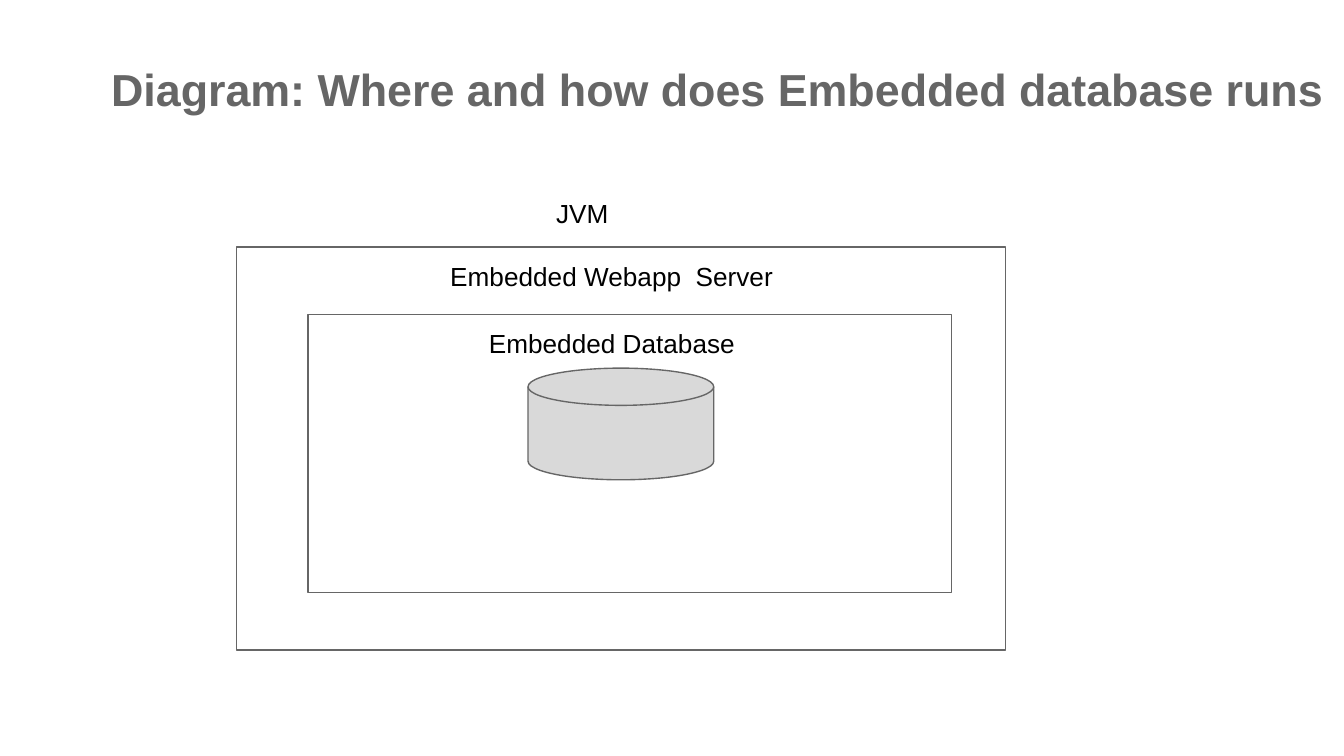
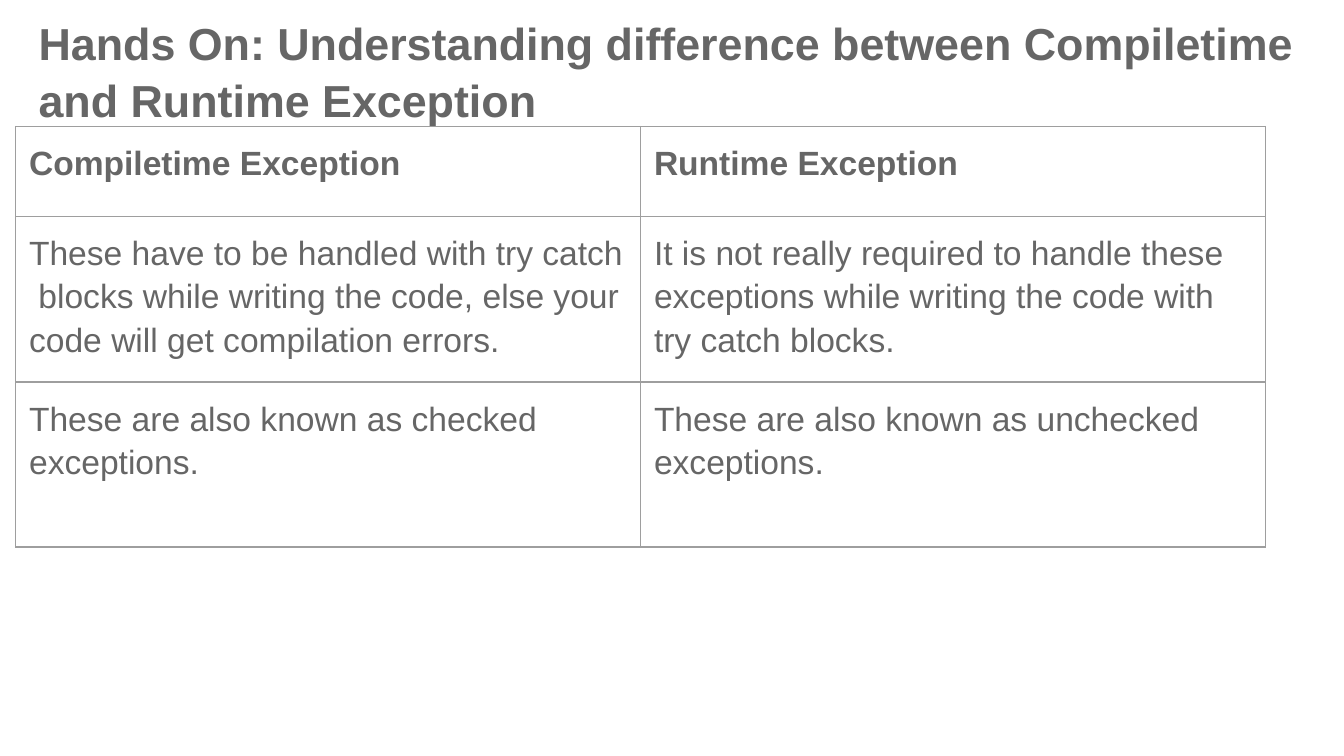
from lxml import etree
from pptx import Presentation
from pptx.dml.color import RGBColor
from pptx.enum.shapes import MSO_SHAPE as Preset
from pptx.oxml.ns import qn
from pptx.util import Cm, Pt

COLORS = {"grey": "666666", "black": "000000", "white": "FFFFFF", "disk": "D9D9D9", "border": "9E9E9E"}
FONT = "Arial"
INSET = Cm(0.25)
LINE_WIDTH = Pt(0.75)


def add_run(paragraph, text, size, color, bold=False):
    run = paragraph.add_run()
    run.text = text
    run.font.name = FONT
    run.font.size = Pt(size)
    run.font.bold = bold
    run.font.color.rgb = RGBColor.from_string(COLORS[color])


def add_text(slide, box, text, size, color, bold=False):
    frame = slide.shapes.add_textbox(*map(Cm, box)).text_frame
    frame.word_wrap = True
    frame.margin_left = frame.margin_right = frame.margin_top = frame.margin_bottom = INSET
    paragraph = frame.paragraphs[0]
    add_run(paragraph, text, size, color, bold)
    return paragraph


presentation = Presentation()
presentation.slide_width = Cm(25.4)
presentation.slide_height = Cm(14.29)
blank = presentation.slide_layouts[6]

titles = [
    ("Diagram: Where and how does Embedded database runs", (-1.96, 0.71, 28.22, 2.44)),
    ("Hands On: Understanding difference between Compiletime and Runtime Exception", (0.48, 0, 24.56, 2.39)),
]
slides = []
title_paragraphs = []
for text, box in titles:
    slide = presentation.slides.add_slide(blank)
    paragraph = add_text(slide, box, text, 24, "grey", True)
    paragraph.line_spacing = 1.05
    slides.append(slide)
    title_paragraphs.append(paragraph)
diagram_slide, exception_slide = slides

diagram_title = title_paragraphs[0]
add_run(diagram_title, " ", 28, "grey", True)
title_properties = diagram_title._p.get_or_add_pPr()
title_properties.set("marL", str(Cm(2.54)))
title_properties.set("indent", str(Cm(1.27)))

layers = [
    (Preset.RECTANGLE, (4.47, 4.67, 14.53, 7.62), "white"),
    (Preset.RECTANGLE, (5.82, 5.94, 12.17, 5.26), "white"),
    (Preset.FLOWCHART_MAGNETIC_DISK, (9.98, 6.96, 3.51, 2.11), "disk"),
]
for preset, box, fill in layers:
    shape = diagram_slide.shapes.add_shape(preset, *map(Cm, box))
    shape.shadow.inherit = False
    shape.fill.solid()
    shape.fill.fore_color.rgb = RGBColor.from_string(COLORS[fill])
    shape.line.color.rgb = RGBColor.from_string(COLORS["grey"])
    shape.line.width = LINE_WIDTH

labels = [
    ("JVM", (10.26, 3.48, 3.28, 0.53)),
    ("Embedded Webapp  Server", (8.26, 4.67, 7.8, 0.76)),
    ("Embedded Database", (8.99, 5.94, 7.42, 0.53)),
]
for text, box in labels:
    add_text(diagram_slide, box, text, 14, "black")

rows = [
    ("Compiletime Exception", "Runtime Exception"),
    (
        "These have to be handled with try catch  blocks while writing the code, "
        "else your code will get compilation errors.",
        "It is not really required to handle these exceptions while writing the code with try catch blocks.",
    ),
    ("These are also known as checked exceptions.", "These are also known as unchecked exceptions."),
]
row_heights = [1.7, 2.54, 3.12]
table = exception_slide.shapes.add_table(
    len(rows), 2, Cm(0.3), Cm(2.39), Cm(23.62), Cm(sum(row_heights))
).table
table.first_row = False
table.horz_banding = False
for column in table.columns:
    column.width = Cm(11.81)
for row_index, (texts, height) in enumerate(zip(rows, row_heights)):
    table.rows[row_index].height = Cm(height)
    for column_index, text in enumerate(texts):
        cell = table.cell(row_index, column_index)
        cell.margin_left = cell.margin_right = cell.margin_top = cell.margin_bottom = INSET
        paragraph = cell.text_frame.paragraphs[0]
        paragraph.line_spacing = 1.15
        add_run(paragraph, text, 18, "grey", row_index == 0)
        properties = cell._tc.get_or_add_tcPr()
        for side in ("a:lnL", "a:lnR", "a:lnT", "a:lnB"):
            border = etree.SubElement(properties, qn(side), w=str(LINE_WIDTH))
            fill = etree.SubElement(border, qn("a:solidFill"))
            etree.SubElement(fill, qn("a:srgbClr"), val=COLORS["border"])
        cell.fill.background()

presentation.save("out.pptx")
